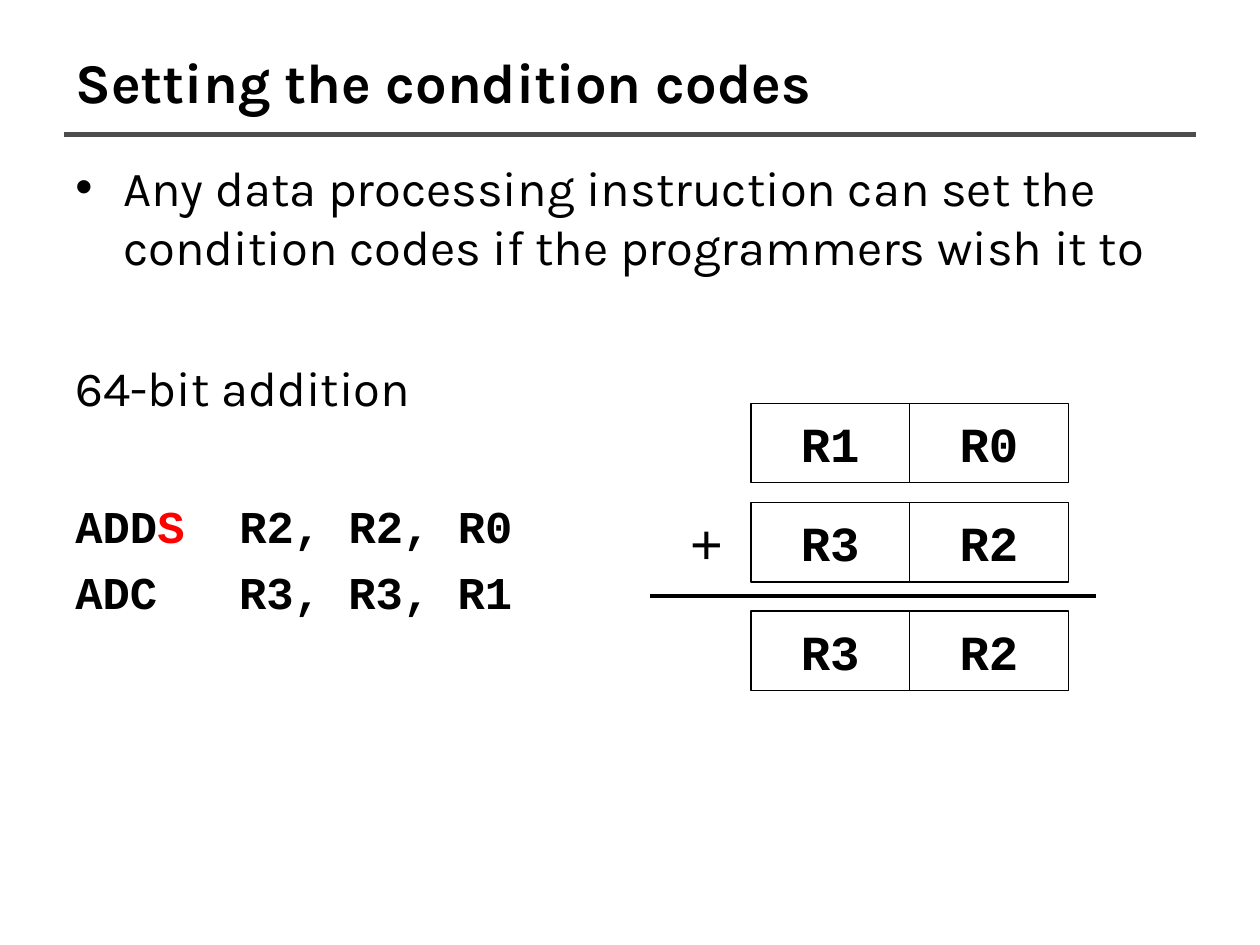
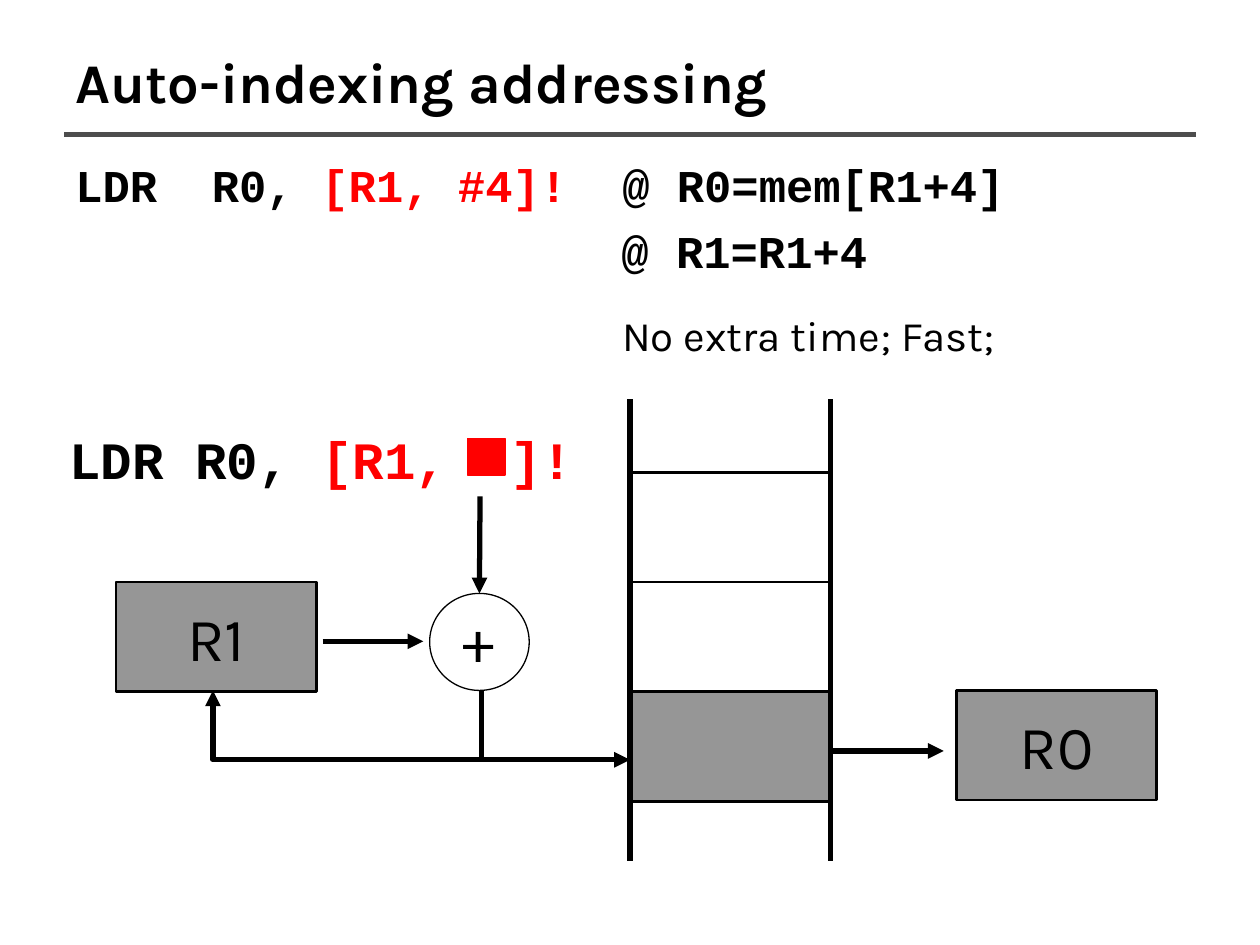
from lxml import etree
from pptx import Presentation
from pptx.dml.color import RGBColor
from pptx.enum import shapes, text
from pptx.oxml import ns
from pptx.util import Inches, Pt

BLACK, RED, GRAY, RULE = "000000", "FF0000", "969696", "4D4D4D"
SANS, MONO, PLAIN = "Karla", "Courier New", "Arial"

# Paragraph: (spans, font, size, bold, space before, bulleted); span: (words, colour)
CONDITION_BODY = [
    ([("Any data processing instruction can set the condition codes "
       "if the programmers wish it to", BLACK)], SANS, 28, False, 0, True),
    ([("64-bit addition", BLACK)], SANS, 28, False, 47, False),
    ([("ADD", BLACK), ("S", RED), ("  R2, R2, R0", BLACK)], MONO, 26, True, 46.5, False),
    ([("ADC   R3, R3, R1", BLACK)], MONO, 26, True, 6.5, False),
]
INDEXING_BODY = [
    ([("LDR  R0, ", BLACK), ("[R1, #4]!  ", RED), ("@ R0=mem[R1+4]", BLACK)],
     MONO, 26, True, 0, False),
    ([("                    @ R1=R1+4", BLACK)], MONO, 26, True, 6.5, False),
]
INSTRUCTION = [("LDR R0, ", BLACK), ("[R1,  ]!", RED)]

REGISTER_ROWS = [(3.2, ("R1", "R0")), (3.99, ("R3", "R2")), (4.85, ("R3", "R2"))]
REGISTER_LEFT, REGISTER_WIDTH, REGISTER_HEIGHT = 5.96, 1.26, 0.63

CELL_WIDTH, CELL_HEIGHT = 1.59, 0.87
MEMORY_LEFT, MEMORY_TOP = 5, 3.75
MEMORY_RIGHT = MEMORY_LEFT + CELL_WIDTH
MEMORY_FILLS = [None, None, GRAY]
REGISTERS = [("R0", 7.59, 5.48), ("R1", 0.92, 4.62)]
ARROWS = [((MEMORY_RIGHT, 5.96), (7.49, 5.96)), ((2.56, 5.09), (3.36, 5.09))]
RESULT_ROUTES = [
    [(3.82, 5.48), (3.82, 6.03), (5, 6.03)],
    [(3.82, 6.03), (1.69, 6.03), (1.69, 5.48)],
]


def rgb(colour):
    return RGBColor.from_string(colour)


def add_spans(para, spans, font, size, bold=False):
    for words, colour in spans:
        span = para.add_run()
        span.text = words
        span.font.name, span.font.size, span.font.bold = font, Pt(size), bold
        span.font.color.rgb = rgb(colour)


def set_insets(frame, side, top):
    frame.margin_left = frame.margin_right = Inches(side)
    frame.margin_top = frame.margin_bottom = Inches(top)


def add_label(parent, at, spans, font, size, bold=False, inset=0.1):
    """Add a one-line text box that grows with its words."""
    box = parent.add_textbox(*map(Inches, at))
    frame = box.text_frame
    frame.word_wrap = False
    frame.auto_size = text.MSO_AUTO_SIZE.SHAPE_TO_FIT_TEXT
    set_insets(frame, inset, inset / 2)
    add_spans(frame.paragraphs[0], spans, font, size, bold)


def style_outline(shape, weight, colour=BLACK, fill=None):
    shape.shadow.inherit = False
    shape.line.color.rgb, shape.line.width = rgb(colour), Pt(weight)
    if fill:
        shape.fill.solid()
        shape.fill.fore_color.rgb = rgb(fill)
    else:
        shape.fill.background()


def add_block(parent, at, weight, fill=None, colour=BLACK,
              kind=shapes.MSO_SHAPE.RECTANGLE):
    block = parent.add_shape(kind, *map(Inches, at))
    style_outline(block, weight, colour, fill)
    return block


def write_centred(block, words, font, size, bold=False, inset=0.1):
    frame = block.text_frame
    frame.word_wrap = False
    frame.vertical_anchor = text.MSO_ANCHOR.MIDDLE
    set_insets(frame, inset, inset / 2)
    para = frame.paragraphs[0]
    para.alignment = text.PP_ALIGN.CENTER
    add_spans(para, [(words, BLACK)], font, size, bold)


def add_arrowhead(shape):
    line = shape.line._get_or_add_ln()
    etree.SubElement(line, ns.qn("a:tailEnd"), type="triangle")


def add_line(page, start, end, weight=3, colour=BLACK, arrow=False):
    line = page.shapes.add_connector(
        shapes.MSO_CONNECTOR.STRAIGHT, *map(Inches, (*start, *end)))
    line.line.color.rgb, line.line.width = rgb(colour), Pt(weight)
    if arrow:
        add_arrowhead(line)
    etree.SubElement(line._element.spPr, ns.qn("a:effectLst"))
    return line


def add_route(page, points):
    """Draw a bent arrow through the points."""
    start, *rest = [tuple(map(Inches, point)) for point in points]
    builder = page.shapes.build_freeform(*start)
    builder.add_line_segments(rest, close=False)
    route = builder.convert_to_shape()
    style_outline(route, 3)
    add_arrowhead(route)


def add_body(page, paragraphs):
    box = page.shapes.add_textbox(*map(Inches, (0.5, 1.15, 9, 5.98)))
    frame = box.text_frame
    frame.word_wrap = True
    set_insets(frame, 0.1, 0.1)
    for index, (spans, font, size, bold, before, bulleted) in enumerate(paragraphs):
        para = frame.add_paragraph() if index else frame.paragraphs[0]
        properties = para._p.get_or_add_pPr()
        properties.set("marL", str(Inches(0.38)))
        properties.set("indent", str(-Inches(0.38)))
        if bulleted:
            etree.SubElement(properties, ns.qn("a:buFont"), typeface=PLAIN)
            etree.SubElement(properties, ns.qn("a:buChar"), char="•")
        para.space_before = Pt(before)
        add_spans(para, spans, font, size, bold)


def add_page(deck, title, body):
    page = deck.slides.add_slide(deck.slide_layouts[6])
    add_line(page, (0.51, 1.07), (9.49, 1.07), colour=RULE)
    box = page.shapes.add_textbox(*map(Inches, (0.5, 0.3, 9, 0.69)))
    box.text_frame.word_wrap = True
    box.text_frame.vertical_anchor = text.MSO_ANCHOR.MIDDLE
    add_spans(box.text_frame.paragraphs[0], [(title, BLACK)], SANS, 32, True)
    add_body(page, body)
    return page


def add_condition_codes(deck):
    page = add_page(deck, "Setting the condition codes", CONDITION_BODY)
    for top, names in REGISTER_ROWS:
        for column, name in enumerate(names):
            left = REGISTER_LEFT + column * REGISTER_WIDTH
            block = add_block(
                page.shapes, (left, top, REGISTER_WIDTH, REGISTER_HEIGHT), 0.75)
            write_centred(block, name, MONO, 28, True)
    add_line(page, (5.16, 4.73), (8.7, 4.73), 2.25)
    add_label(page.shapes, (5.38, 3.99, 0.46, 0.64), [("+", BLACK)], PLAIN, 32)


def add_auto_indexing(deck):
    page = add_page(deck, "Auto-indexing addressing", INDEXING_BODY)
    add_label(page.shapes, (0.43, 3.33, 4.25, 0.62), INSTRUCTION, MONO, 30, True, 0.12)
    add_block(page.shapes, (3.71, 3.48, 0.3, 0.29), 0.75, RED, RED)

    for row, fill in enumerate(MEMORY_FILLS):
        top = MEMORY_TOP + row * CELL_HEIGHT
        add_block(page.shapes, (MEMORY_LEFT, top, CELL_WIDTH, CELL_HEIGHT), 1.5, fill)
    for edge in (MEMORY_LEFT, MEMORY_RIGHT):
        add_line(page, (edge, 3.17), (edge, 6.83))

    for name, left, top in REGISTERS:
        block = add_block(page.shapes, (left, top, CELL_WIDTH, CELL_HEIGHT), 1.5, GRAY)
        write_centred(block, name, SANS, 35, inset=0.12)

    adder = page.shapes.add_group_shape()
    circle = add_block(adder.shapes, (3.41, 4.71, 0.79, 0.77), 0.75,
                       kind=shapes.MSO_SHAPE.OVAL)
    add_label(adder.shapes, (3.55, 4.71, 0.53, 0.71), [("+", BLACK)], SANS, 35, inset=0.12)

    for start, end in ARROWS:
        add_line(page, start, end, arrow=True)
    offset_arrow = add_line(page, (3.81, 3.94), (3.81, 4.71), arrow=True)
    offset_arrow.end_connect(circle, 0)
    for points in RESULT_ROUTES:
        add_route(page, points)
    add_label(page.shapes, (4.84, 2.41, 3.33, 0.5),
              [("No extra time; Fast;", BLACK)], SANS, 24)


def main():
    deck = Presentation()
    deck.slide_width, deck.slide_height = Inches(10), Inches(7.5)
    add_condition_codes(deck)
    add_auto_indexing(deck)
    deck.save("out.pptx")


if __name__ == "__main__":
    main()
